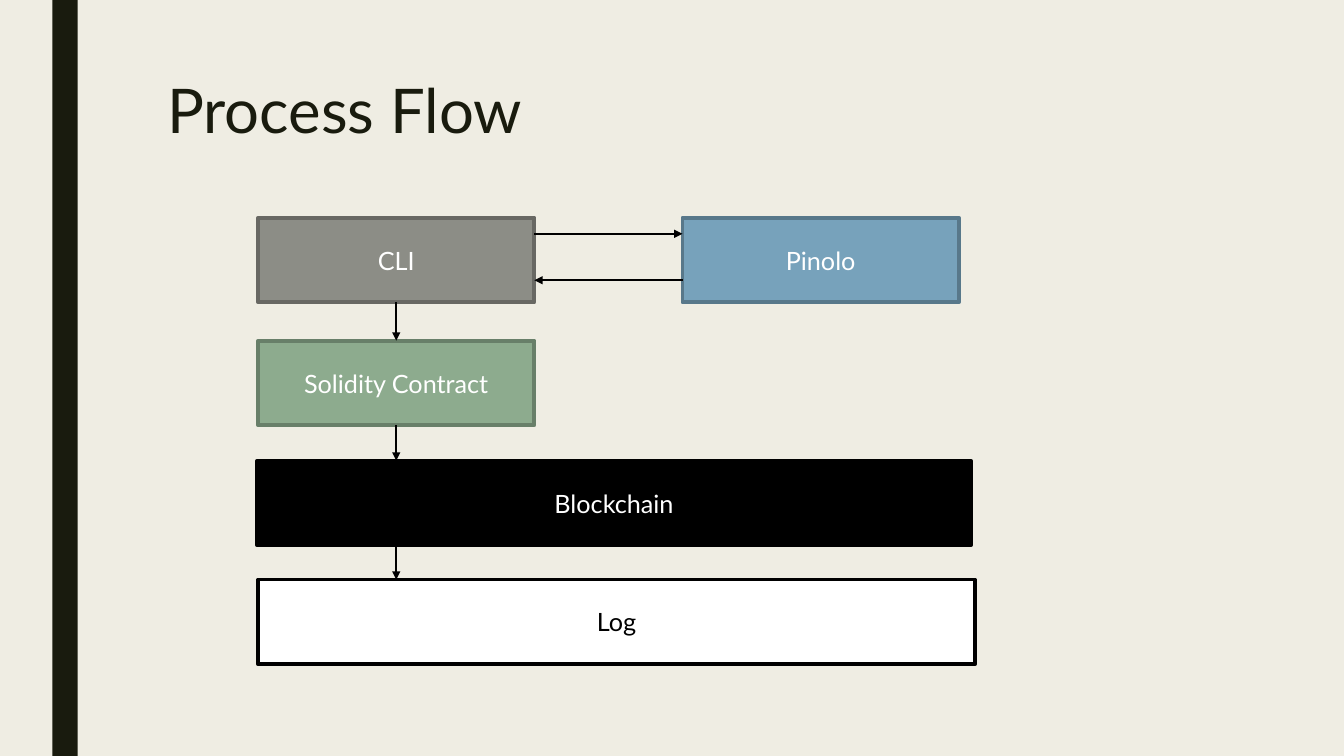
import pptx
import pptx.dml.color
import pptx.enum.shapes
import pptx.enum.text
import pptx.util
from lxml import etree
from pptx.oxml.ns import qn
from pptx.util import Inches

# Content
TITLE = "Process Flow"
# step: (label, left, top, width, fill, outline, text colour)
STEPS = {
    "cli": ("CLI", 2.56, 2.16, 2.74, "8C8D86", "686863", "FFFFFF"),
    "storage": ("Pinolo", 6.77, 2.16, 2.74, "77A2BB", "58788A", "FFFFFF"),
    "contract": ("Solidity Contract", 2.56, 3.38, 2.74, "8DAB8E", "687F69", "FFFFFF"),
    "chain": ("Blockchain", 2.55, 4.57, 7.08, "000000", "000000", "FFFFFF"),
    "log": ("Log", 2.56, 5.75, 7.11, "FFFFFF", "000000", "000000"),
}
DOWNWARD = ["cli", "contract", "chain", "log"]
REQUEST_DROP, REPLY_DROP = 0.16, 0.62
STEP_HEIGHT = 0.84

THEME = {
    "font": "Lato", "title_size": 44, "label_size": 18,
    "background": "EFEDE3", "ink": "191B0E", "arrow": "000000",
    "outline_width": 2.75, "arrow_width": 1.5,
}


def rgb(code):
    return pptx.dml.color.RGBColor.from_string(code)


def write(frame, text, size, color, align):
    paragraph = frame.paragraphs[0]
    paragraph.alignment = align
    run = paragraph.add_run()
    run.text = text
    run.font.name = THEME["font"]
    run.font.size = pptx.util.Pt(size)
    run.font.color.rgb = rgb(color)
    return paragraph


def add_box(slide, left, top, width, height, fill):
    box = slide.shapes.add_shape(
        pptx.enum.shapes.MSO_SHAPE.RECTANGLE,
        Inches(left), Inches(top), Inches(width), Inches(height))
    box.shadow.inherit = False
    box.fill.solid()
    box.fill.fore_color.rgb = rgb(fill)
    box.line.fill.background()
    return box


def add_step(slide, label, left, top, width, fill, outline, ink):
    step = add_box(slide, left, top, width, STEP_HEIGHT, fill)
    step.line.color.rgb = rgb(outline)
    step.line.width = pptx.util.Pt(THEME["outline_width"])
    step.text_frame.word_wrap = True
    step.text_frame.vertical_anchor = pptx.enum.text.MSO_ANCHOR.MIDDLE
    write(step.text_frame, label, THEME["label_size"], ink,
          pptx.enum.text.PP_ALIGN.CENTER)


def add_arrow(slide, x1, y1, x2, y2):
    arrow = slide.shapes.add_connector(
        pptx.enum.shapes.MSO_CONNECTOR.STRAIGHT,
        Inches(x1), Inches(y1), Inches(x2), Inches(y2))
    arrow.line.color.rgb = rgb(THEME["arrow"])
    arrow.line.width = pptx.util.Pt(THEME["arrow_width"])
    etree.SubElement(arrow.line._get_or_add_ln(), qn("a:tailEnd"), type="triangle")
    etree.SubElement(arrow._element.spPr, qn("a:effectLst"))


def main():
    deck = pptx.Presentation()
    deck.slide_width, deck.slide_height = Inches(13.33), Inches(7.5)
    slide = deck.slides.add_slide(deck.slide_layouts[5])
    slide.background.fill.solid()
    slide.background.fill.fore_color.rgb = rgb(THEME["background"])

    # Side bar and title
    add_box(slide, 0.52, 0, 0.25, 7.5, THEME["ink"])
    title = slide.shapes.title
    title.left, title.top = Inches(1.56), Inches(0.75)
    title.width, title.height = Inches(9.2), Inches(1.17)
    title.text_frame.word_wrap = True
    title.text_frame.auto_size = pptx.enum.text.MSO_AUTO_SIZE.NONE
    title.text_frame.vertical_anchor = pptx.enum.text.MSO_ANCHOR.TOP
    heading = write(title.text_frame, TITLE, THEME["title_size"], THEME["ink"],
                    pptx.enum.text.PP_ALIGN.LEFT)
    heading.line_spacing = 0.89

    # Steps
    for step in STEPS.values():
        add_step(slide, *step)

    # Request and reply between the top two steps
    _, cli_left, row_top, cli_width, *_ = STEPS["cli"]
    cli_right, storage_left = cli_left + cli_width, STEPS["storage"][1]
    request_y, reply_y = row_top + REQUEST_DROP, row_top + REPLY_DROP
    add_arrow(slide, cli_right, request_y, storage_left, request_y)
    add_arrow(slide, storage_left, reply_y, cli_right, reply_y)

    # Downward flow through the centre of the first column
    column_x = cli_left + cli_width / 2
    for upper, lower in zip(DOWNWARD, DOWNWARD[1:]):
        add_arrow(slide, column_x, STEPS[upper][2] + STEP_HEIGHT,
                  column_x, STEPS[lower][2])

    deck.save("out.pptx")


if __name__ == "__main__":
    main()
